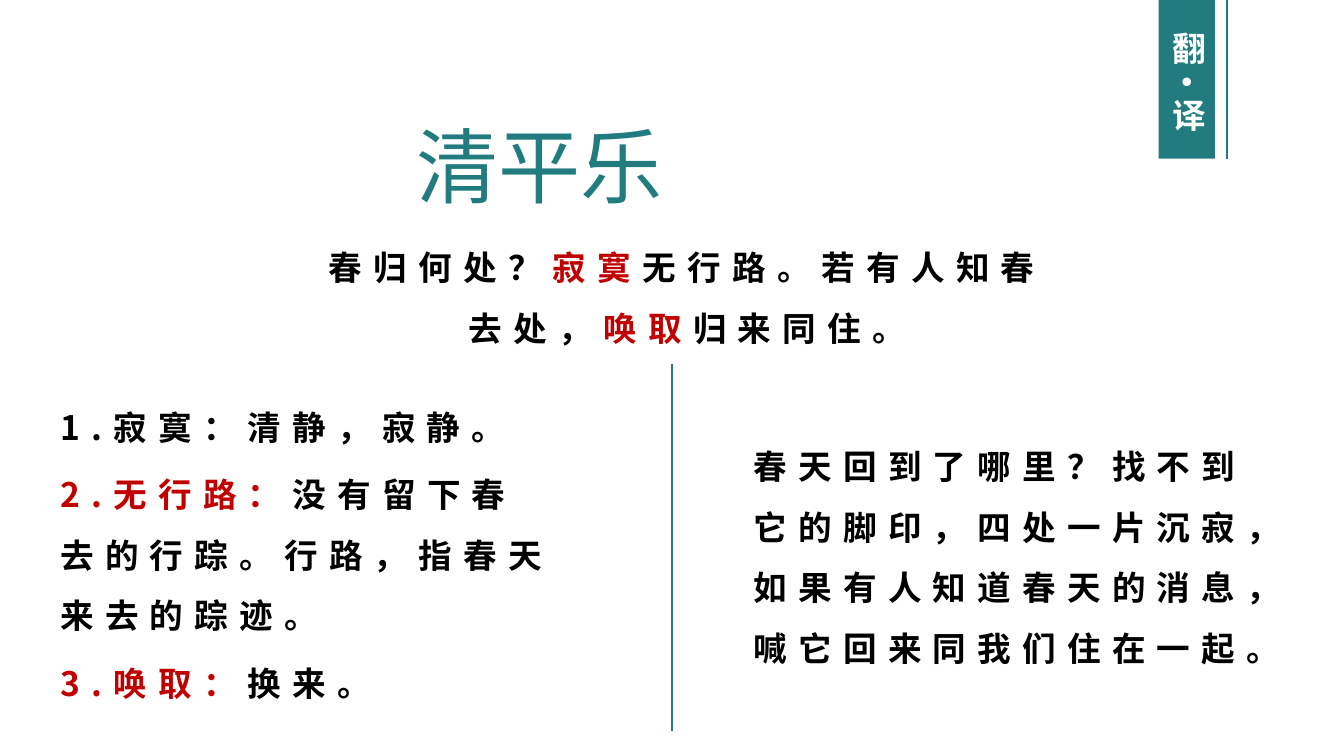
from dataclasses import dataclass

from lxml.etree import SubElement
from pptx import Presentation
from pptx.dml.color import RGBColor
from pptx.enum.shapes import MSO_CONNECTOR, MSO_SHAPE
from pptx.enum.text import MSO_AUTO_SIZE, PP_ALIGN
from pptx.oxml.ns import qn
from pptx.util import Inches, Pt


@dataclass(frozen=True)
class Theme:
    teal: RGBColor = RGBColor(0x22, 0x7C, 0x7F)
    black: RGBColor = RGBColor(0, 0, 0)
    red: RGBColor = RGBColor(0xC0, 0, 0)
    white: RGBColor = RGBColor(0xFF, 0xFF, 0xFF)
    body_font: str = "Noto Sans CJK SC"
    title_font: str = "Noto Sans CJK JP"
    body_size: Pt = Pt(18)
    title_size: Pt = Pt(44)
    line_width: Pt = Pt(0.75)
    letter_spacing: int = 600
    line_spacing: float = 1.5
    paragraph_gap: Pt = Pt(3.6)


theme = Theme()


def add_text(shapes, box, paragraphs, align=None, font=theme.body_font, size=theme.body_size,
             bold=True, spacing=theme.letter_spacing, line_spacing=theme.line_spacing, gap=None):
    """Add a text box; each paragraph is a list of (text, colour) runs."""
    text_box = shapes.add_textbox(*map(Inches, box))
    frame = text_box.text_frame
    frame.word_wrap = True
    frame.auto_size = MSO_AUTO_SIZE.SHAPE_TO_FIT_TEXT
    for index, runs in enumerate(paragraphs):
        paragraph = frame.add_paragraph() if index else frame.paragraphs[0]
        paragraph.alignment = align
        paragraph.line_spacing = line_spacing
        paragraph.space_before = gap
        for text, color in runs:
            run = paragraph.add_run()
            run.text = text
            run.font.size = size
            run.font.bold = bold
            run.font.color.rgb = color
            run.font.name = font
            properties = run._r.get_or_add_rPr()
            properties.set("lang", "zh-CN")
            properties.set("spc", str(spacing))
            SubElement(properties, qn("a:ea")).set("typeface", font)
    return text_box


def add_vertical_line(shapes, x, top, bottom):
    line = shapes.add_connector(MSO_CONNECTOR.STRAIGHT, Inches(x), Inches(top), Inches(x), Inches(bottom))
    line.line.color.rgb = theme.teal
    line.line.width = theme.line_width
    SubElement(line._element.spPr, qn("a:effectLst"))


presentation = Presentation()
presentation.slide_width = Inches(10)
presentation.slide_height = Inches(10 * 9 / 16)
slide = presentation.slides.add_slide(presentation.slide_layouts[6])
shapes = slide.shapes

# Poem and word notes
add_text(shapes, (2.31, 1.64, 5.61, 1.01), [[
    ("春归何处？", theme.black),
    ("寂寞", theme.red),
    ("无行路。若有人知春去处，", theme.black),
    ("唤取", theme.red),
    ("归来同住。", theme.black),
]], align=PP_ALIGN.CENTER, gap=theme.paragraph_gap)

add_text(shapes, (0.35, 2.83, 3.92, 2.49), [
    [("1.寂寞：清静，寂静。", theme.black)],
    [("2.无行路：", theme.red), ("没有留下春去的行踪。行路，指春天来去的踪迹。", theme.black)],
    [("3.唤取：", theme.red), ("换来。", theme.black)],
], gap=theme.paragraph_gap)

# Section tab
tab = shapes.add_group_shape()
tab_block = tab.shapes.add_shape(MSO_SHAPE.RECTANGLE, Inches(8.62), 0, Inches(0.42), Inches(1.18))
tab_block.shadow.inherit = False
tab_block.fill.solid()
tab_block.fill.fore_color.rgb = theme.teal
tab_block.line.fill.background()
add_vertical_line(tab.shapes, 9.13, 0, 1.18)
tab_label = add_text(tab.shapes, (8.54, 0.14, 0.5, 1.07), [[("翻·译", theme.white)]],
                     align=PP_ALIGN.CENTER, spacing=0, line_spacing=None)
tab_label.text_frame._txBody.bodyPr.set("vert", "eaVert")

# Translation, title and divider
add_text(shapes, (5.51, 3.12, 4.02, 1.92), [[
    ("春天回到了哪里？找不到它的脚印，四处一片沉寂，如果有人知道春天的消息，喊它回来同我们住在一起。", theme.black),
]])
add_text(shapes, (3, 0.81, 4.01, 0.84), [[("清平乐", theme.teal)]], align=PP_ALIGN.JUSTIFY,
         font=theme.title_font, size=theme.title_size, bold=False, spacing=0, line_spacing=None)
add_vertical_line(shapes, 5, 2.71, 5.44)

presentation.save("out.pptx")
